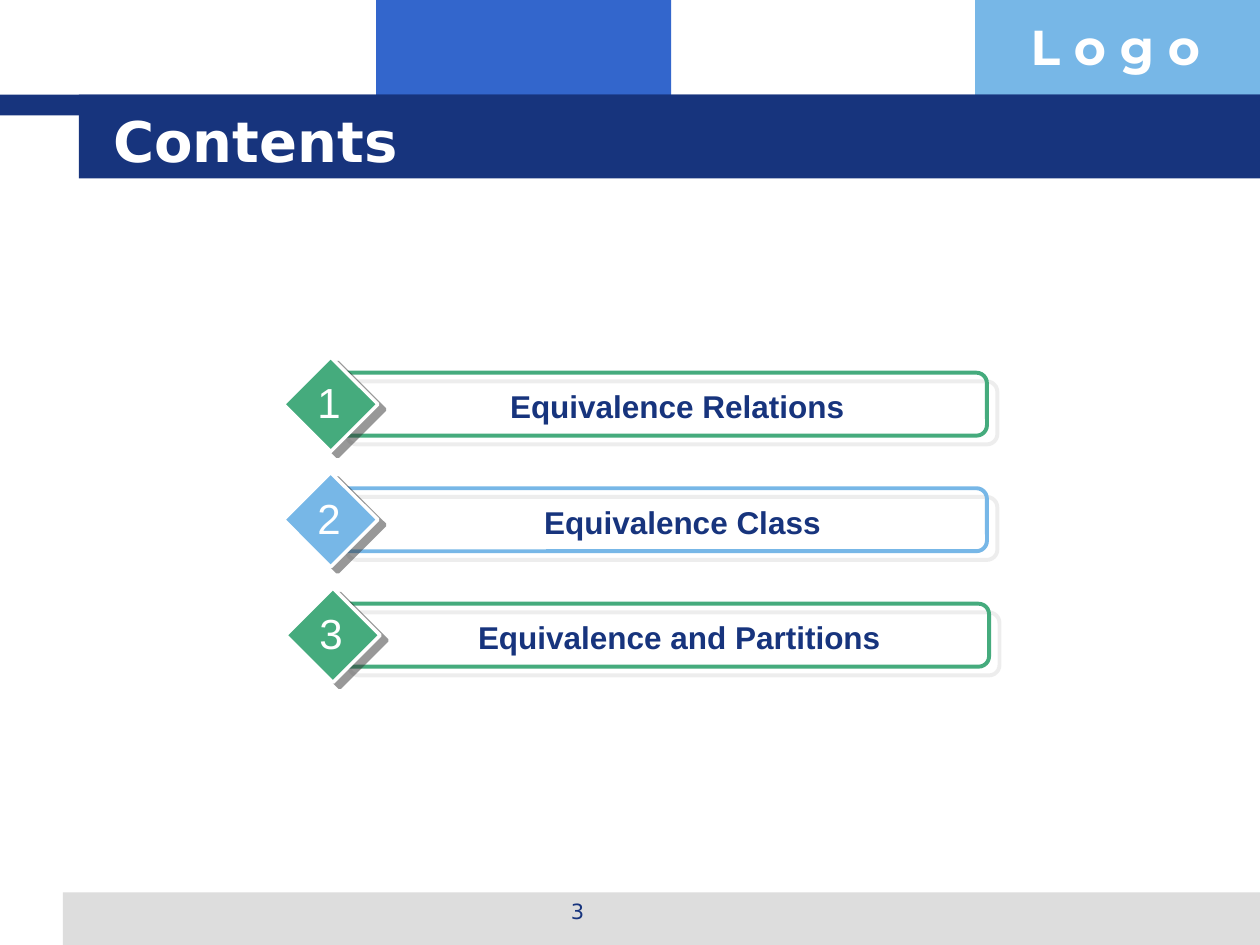
from dataclasses import dataclass

from lxml import etree
from pptx import Presentation
from pptx.dml.color import RGBColor
from pptx.enum.shapes import MSO_SHAPE
from pptx.enum.text import MSO_ANCHOR, MSO_AUTO_SIZE, PP_ALIGN
from pptx.oxml.ns import qn
from pptx.shapes.autoshape import Shape
from pptx.slide import Slide
from pptx.text.text import TextFrame
from pptx.util import Pt

RECTANGLE = MSO_SHAPE.RECTANGLE
ROUNDED = MSO_SHAPE.ROUNDED_RECTANGLE
DIAMOND = MSO_SHAPE.DIAMOND
LEFT, CENTER = PP_ALIGN.LEFT, PP_ALIGN.CENTER
TOP, MIDDLE = MSO_ANCHOR.TOP, MSO_ANCHOR.MIDDLE

WHITE = RGBColor(0xFF, 0xFF, 0xFF)
NAVY = RGBColor(0x17, 0x34, 0x7D)
BLUE = RGBColor(0x33, 0x66, 0xCC)
SKY = RGBColor(0x77, 0xB7, 0xE7)
GREEN = RGBColor(0x45, 0xAB, 0x7D)
GREY = RGBColor(0xDD, 0xDD, 0xDD)
CHARCOAL = RGBColor(0x33, 0x33, 0x33)

TITLE_ONLY = 5
ROW_TOP, ROW_PITCH = 204, 66


@dataclass(frozen=True)
class Area:
    left: float
    top: float
    width: float
    height: float


@dataclass(frozen=True)
class Style:
    size: float
    font: str
    color: RGBColor
    bold: bool = False


@dataclass(frozen=True)
class Band:
    area: Area
    color: RGBColor


@dataclass(frozen=True)
class Entry:
    caption: str
    color: RGBColor
    shift: float
    caption_left: float
    caption_width: float


@dataclass(frozen=True)
class Shadow:
    color: RGBColor
    distance: float
    angle: int


BANDS = [
    Band(Area(215, 0, 168.5, 66), BLUE),
    Band(Area(557.3, 0, 162.7, 66), SKY),
    Band(Area(36, 510, 684, 30), GREY),
    Band(Area(0, 54, 720, 12), NAVY),
    Band(Area(45, 54, 675, 48), NAVY),
]
ENTRIES = [
    Entry("Equivalence Relations", GREEN, 0, 204, 366),
    Entry("Equivalence Class", SKY, 0, 210, 360),
    Entry("Equivalence and Partitions", GREEN, 1.2, 205.2, 366),
]
LOGO_STYLE = Style(28, "Montserrat", WHITE, True)
PAGE_STYLE = Style(12, "DejaVu Sans", NAVY)
TITLE_STYLE = Style(32, "DejaVu Sans", WHITE, True)
CAPTION_STYLE = Style(18, "Arial", NAVY, True)
NUMBER_STYLE = Style(24, "Arial", WHITE)
FRAME_SHADOW = Shadow(GREY, 7.8, 40)
DIAMOND_SHADOW = Shadow(CHARCOAL, 5, 37)


def place(area: Area) -> tuple:
    return Pt(area.left), Pt(area.top), Pt(area.width), Pt(area.height)


def write(frame: TextFrame, text: str, style: Style,
          align: PP_ALIGN = LEFT, anchor: MSO_ANCHOR = TOP) -> None:
    frame.vertical_anchor = anchor
    para = frame.paragraphs[0]
    para.alignment = align
    span = para.add_run()
    span.text = text
    span.font.size = Pt(style.size)
    span.font.name = style.font
    span.font.bold = style.bold
    span.font.color.rgb = style.color


def add_text(page: Slide, area: Area, text: str, style: Style,
             align: PP_ALIGN = LEFT, wrap: bool = True) -> None:
    box = page.shapes.add_textbox(*place(area))
    box.text_frame.word_wrap = wrap
    box.text_frame.auto_size = MSO_AUTO_SIZE.NONE
    write(box.text_frame, text, style, align)


def add_block(page: Slide, kind: MSO_SHAPE, area: Area,
              fill: RGBColor | None = None, line: RGBColor | None = None,
              weight: float = 1) -> Shape:
    block = page.shapes.add_shape(kind, *place(area))
    block.shadow.inherit = False
    if fill is None:
        block.fill.background()
    else:
        block.fill.solid()
        block.fill.fore_color.rgb = fill
    if line is None:
        block.line.fill.background()
    else:
        block.line.color.rgb = line
        block.line.width = Pt(weight)
    return block


def cast_shadow(block: Shape, shadow: Shadow) -> None:
    effects = block.element.spPr.find(qn("a:effectLst"))
    outer = etree.SubElement(
        effects, qn("a:outerShdw"), blurRad="0", dist=str(int(Pt(shadow.distance))),
        dir=str(shadow.angle * 60000), algn="ctr", rotWithShape="0")
    color = etree.SubElement(outer, qn("a:srgbClr"), val=str(shadow.color))
    etree.SubElement(color, qn("a:alpha"), val="50000")


def add_entry(page: Slide, index: int, entry: Entry) -> None:
    top = ROW_TOP + index * ROW_PITCH
    left = 162 + entry.shift
    frame = add_block(page, ROUNDED, Area(left + 30, top + 9, 372, 36),
                      line=entry.color, weight=2.25)
    frame.adjustments[0] = 0.167
    cast_shadow(frame, FRAME_SHADOW)
    marker = add_block(page, DIAMOND, Area(left, top, 54, 54),
                       entry.color, WHITE, 2)
    cast_shadow(marker, DIAMOND_SHADOW)
    add_text(page, Area(entry.caption_left, top + 13.6, entry.caption_width, 29),
             entry.caption, CAPTION_STYLE, CENTER)
    add_text(page, Area(left + 12, top + 7.8, 28, 36),
             str(index + 1), NUMBER_STYLE, CENTER, wrap=False)


def add_title(page: Slide, area: Area, text: str) -> None:
    title = page.shapes.title
    title.left, title.top, title.width, title.height = place(area)
    title.text_frame.auto_size = MSO_AUTO_SIZE.NONE
    write(title.text_frame, text, TITLE_STYLE, LEFT, MIDDLE)
    # Bring the title in front of the header bands
    title.element.getparent().append(title.element)


def main() -> None:
    deck = Presentation()
    deck.slide_width, deck.slide_height = Pt(720), Pt(540)
    page = deck.slides.add_slide(deck.slide_layouts[TITLE_ONLY])

    # Header and footer
    for band in BANDS:
        add_block(page, RECTANGLE, band.area, band.color)
    add_text(page, Area(581.8, 6, 138.2, 41), "L o g o", LOGO_STYLE)
    add_text(page, Area(246, 510, 168, 25), "3", PAGE_STYLE, CENTER)
    add_title(page, Area(57.6, 57.6, 614.4, 44.4), "Contents")

    # Numbered contents
    for index, entry in enumerate(ENTRIES):
        add_entry(page, index, entry)

    deck.save("out.pptx")


if __name__ == "__main__":
    main()
